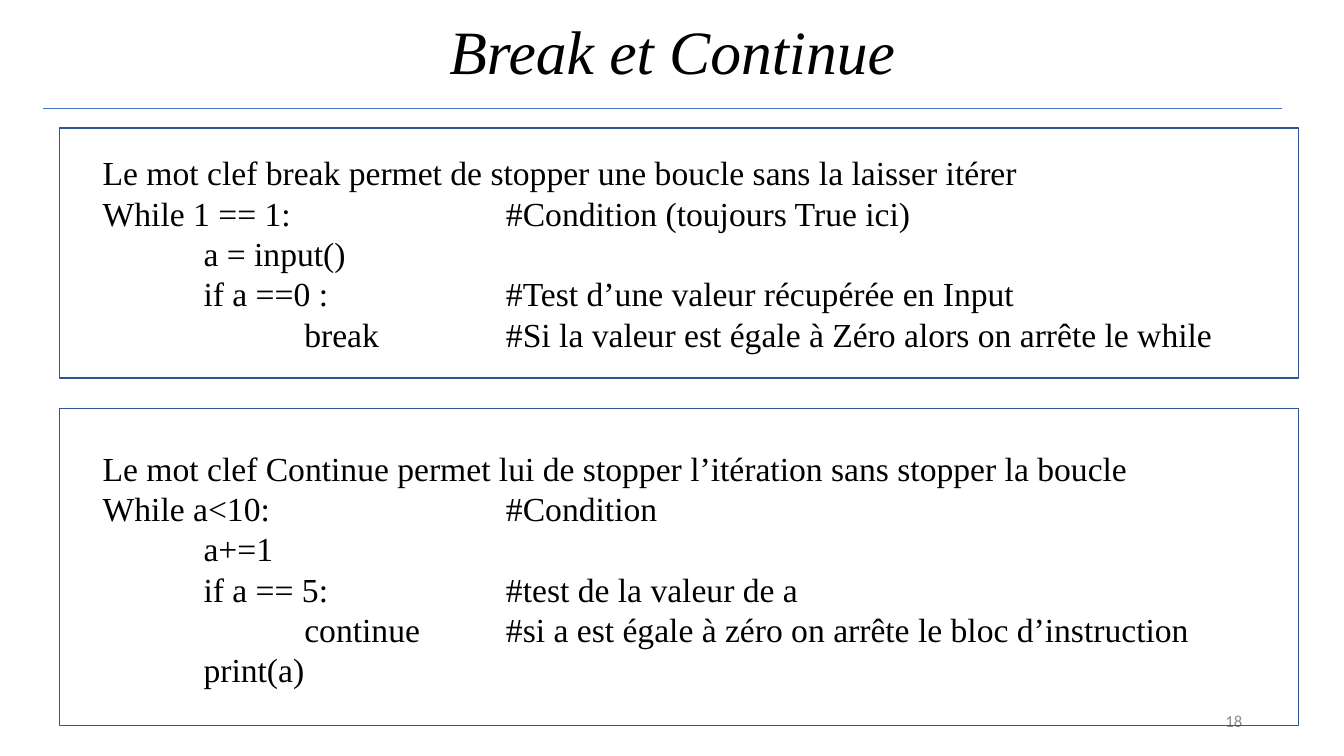
import pptx
import pptx.dml.color
import pptx.enum.shapes
import pptx.enum.text
import pptx.oxml.ns
import pptx.util
from lxml import etree
from pptx.util import Inches

SERIF = "Times New Roman"
BREAK_LINES = [
    "Le mot clef break permet de stopper une boucle sans la laisser itérer",
    "While 1 == 1: \t\t\t#Condition (toujours True ici)",
    "\ta = input()",
    "\tif a ==0 :\t\t#Test d’une valeur récupérée en Input",
    "\t\tbreak\t\t#Si la valeur est égale à Zéro alors on arrête le while",
]
CONTINUE_LINES = [
    "Le mot clef Continue permet lui de stopper l’itération sans stopper la boucle",
    "While a<10:\t\t\t#Condition",
    "\ta+=1",
    "\tif a == 5:\t\t#test de la valeur de a",
    "\t\tcontinue\t#si a est égale à zéro on arrête le bloc d’instruction",
    "\tprint(a)",
]


def color(hex_value):
    return pptx.dml.color.RGBColor.from_string(hex_value)


def place(shape, left, top, width, height):
    shape.left, shape.top = Inches(left), Inches(top)
    shape.width, shape.height = Inches(width), Inches(height)


def format_font(font, size, name, hex_value):
    font.size = pptx.util.Pt(size)
    font.name = name
    font.color.rgb = color(hex_value)


def fill_title(slide, text):
    title = slide.shapes.title
    place(title, 0.92, -0.18, 11.5, 1.45)
    title.text_frame.text = text
    title.text_frame.vertical_anchor = pptx.enum.text.MSO_ANCHOR.MIDDLE
    paragraph = title.text_frame.paragraphs[0]
    paragraph.alignment = pptx.enum.text.PP_ALIGN.CENTER
    paragraph.line_spacing = 0.9
    format_font(paragraph.font, 44, SERIF, "000000")
    paragraph.font.italic = True


def add_tab_stops(paragraph):
    """Put a left tab stop at each of the first four inches."""
    properties = paragraph._p.get_or_add_pPr()
    tab_list = etree.SubElement(properties, pptx.oxml.ns.qn("a:tabLst"))
    for inch in range(1, 5):
        etree.SubElement(tab_list, pptx.oxml.ns.qn("a:tab"),
                         pos=str(Inches(inch)), algn="l")


def add_text(slide, lines, left, top, width, height, size, name, hex_value):
    box = slide.shapes.add_textbox(*map(Inches, (left, top, width, height)))
    frame = box.text_frame
    frame.word_wrap = True
    frame.text = "\n".join(lines)
    for paragraph in frame.paragraphs:
        if "\t" in paragraph.text:
            add_tab_stops(paragraph)
        format_font(paragraph.font, size, name, hex_value)
    return frame


def add_page_number(slide, number):
    frame = add_text(slide, [number], 9.42, 6.95, 3, 0.4, 12, "Calibri", "8C8C8C")
    frame.vertical_anchor = pptx.enum.text.MSO_ANCHOR.MIDDLE
    frame.paragraphs[0].alignment = pptx.enum.text.PP_ALIGN.RIGHT


def add_rule(slide, left, right, top):
    rule = slide.shapes.add_connector(
        pptx.enum.shapes.MSO_CONNECTOR.STRAIGHT,
        Inches(left), Inches(top), Inches(right), Inches(top))
    rule.line.color.rgb = color("4472C4")
    rule.line.width = pptx.util.Pt(0.5)
    etree.SubElement(rule.element.spPr, pptx.oxml.ns.qn("a:effectLst"))


def add_code_panel(slide, lines, top, height, text_top, text_height):
    panel = slide.shapes.add_shape(
        pptx.enum.shapes.MSO_SHAPE.RECTANGLE,
        Inches(0.59), Inches(top), Inches(12.29), Inches(height))
    panel.shadow.inherit = False
    panel.fill.background()
    panel.line.color.rgb = color("2F5597")
    panel.line.width = pptx.util.Pt(1)
    add_text(slide, lines, 0.92, text_top, 11.61, text_height, 24, SERIF, "000000")


def main():
    presentation = pptx.Presentation()
    presentation.slide_width = Inches(13.33)
    presentation.slide_height = Inches(7.5)
    slide = presentation.slides.add_slide(presentation.slide_layouts[5])
    fill_title(slide, "Break et Continue")
    add_page_number(slide, "18")
    add_rule(slide, 0.43, 12.72, 1.08)
    add_code_panel(slide, BREAK_LINES, 1.27, 2.48, 1.46, 2.12)
    add_code_panel(slide, CONTINUE_LINES, 4.05, 3.15, 4.39, 2.52)
    presentation.save("out.pptx")


if __name__ == "__main__":
    main()
